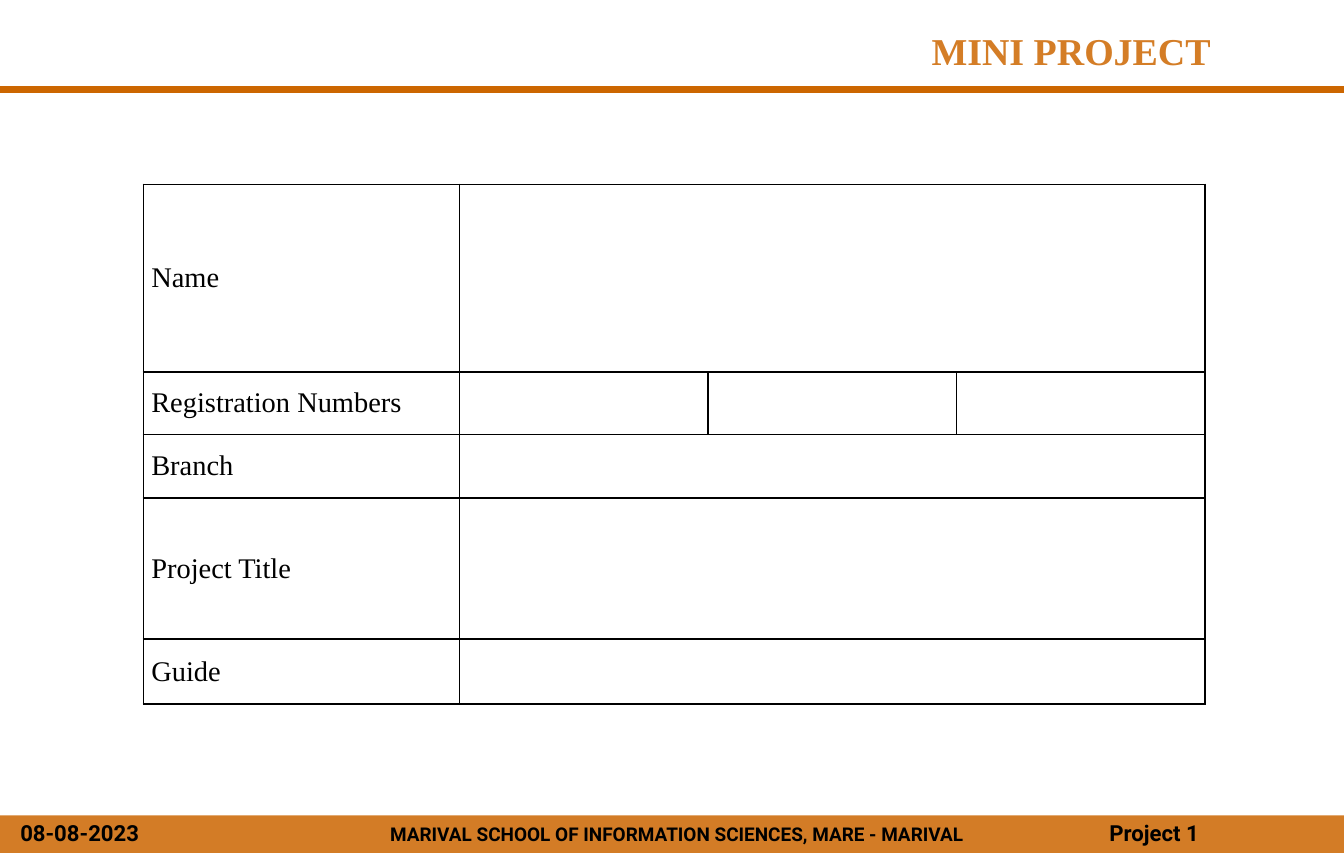
from lxml import etree
from pptx import Presentation
from pptx.dml.color import RGBColor
from pptx.enum import shapes, text
from pptx.oxml import ns
from pptx.util import Cm, Inches, Pt

WIDTH, HEIGHT = Cm(30), Inches(7.5)
ORANGE, BLACK = "CC6600", "000000"
SERIF, SANS = "Times New Roman", "Roboto"
LEFT, CENTER, RIGHT = text.PP_ALIGN.LEFT, text.PP_ALIGN.CENTER, text.PP_ALIGN.RIGHT

TITLE = "MINI PROJECT"
TITLE_BOX = (2.74, 0.19, 8, 0.51)
FOOTERS = [
    ("MARIVAL SCHOOL OF INFORMATION SCIENCES, MARE - MARIVAL", (2.85, 7.18, 6.2, 0.31), 12, CENTER),
    ("08-08-2023", (0.08, 7.16, 1.33, 0.34), 14, LEFT),
    ("Project 1", (9.65, 7.16, 2.15, 0.34), 14, LEFT),
]
ROWS = [
    ("Name", 1.65, True),
    ("Registration Numbers", 0.55, False),
    ("Branch", 0.56, True),
    ("Project Title", 1.24, True),
    ("Guide", 0.57, True),
]
TABLE_LEFT, TABLE_TOP, TABLE_WIDTH = 1.26, 1.62, 9.33
LABEL_WIDTH, VALUE_COLUMNS = 2.78, 3


def rgb(value):
    return RGBColor.from_string(value)


def inches(box):
    return [Inches(v) for v in box]


def write(tf, words, size, font, color, bold=False, align=LEFT):
    tf.text = words
    p = tf.paragraphs[0]
    p.alignment = align
    f = p.runs[0].font
    f.size, f.name, f.bold = Pt(size), font, bold
    f.color.rgb = rgb(color)
    return p


def add_borders(cell):
    tc_pr = cell._tc.get_or_add_tcPr()
    for side in ("a:lnL", "a:lnR", "a:lnT", "a:lnB"):
        ln = etree.SubElement(tc_pr, ns.qn(side), w=str(Pt(1)))
        fill = etree.SubElement(ln, ns.qn("a:solidFill"))
        etree.SubElement(fill, ns.qn("a:srgbClr"), val=BLACK)


def add_frame(s):
    rule_y = Inches(0.79)
    rule = s.shapes.add_connector(
        shapes.MSO_CONNECTOR.STRAIGHT, 0, rule_y, Inches(11.84), rule_y)
    rule.line.color.rgb = rgb(ORANGE)
    rule.line.width = Pt(4.5)
    etree.SubElement(rule._element.spPr, ns.qn("a:effectLst"))

    bar_height = Inches(0.33)
    bar = s.shapes.add_shape(
        shapes.MSO_SHAPE.RECTANGLE, 0, HEIGHT - bar_height, WIDTH, bar_height)
    bar.shadow.inherit = False
    bar.fill.solid()
    bar.fill.fore_color.rgb = rgb(ORANGE)
    color = bar._element.spPr.find(".//" + ns.qn("a:srgbClr"))
    etree.SubElement(color, ns.qn("a:alpha"), val="85000")
    bar.line.fill.background()

    for words, box, size, align in FOOTERS:
        tf = s.shapes.add_textbox(*inches(box)).text_frame
        tf.word_wrap = True
        write(tf, words, size, SANS, BLACK, True, align)


def add_title(s):
    sp = s.shapes.title
    sp.left, sp.top, sp.width, sp.height = inches(TITLE_BOX)
    tf = sp.text_frame
    tf.auto_size = text.MSO_AUTO_SIZE.NONE
    tf.vertical_anchor = text.MSO_ANCHOR.TOP
    write(tf, TITLE, 24, SERIF, "D47D26", True, RIGHT)


def add_details(s):
    value_width = (TABLE_WIDTH - LABEL_WIDTH) / VALUE_COLUMNS
    widths = [LABEL_WIDTH] + [value_width] * VALUE_COLUMNS
    box = (TABLE_LEFT, TABLE_TOP, TABLE_WIDTH, sum(height for _, height, _ in ROWS))
    table = s.shapes.add_table(len(ROWS), len(widths), *inches(box)).table
    table.first_row = table.horz_banding = False
    for column, width in zip(table.columns, widths):
        column.width = Inches(width)
    for i, (label, height, merged) in enumerate(ROWS):
        table.rows[i].height = Inches(height)
        for cell in table.rows[i].cells:
            add_borders(cell)
            cell.fill.background()
        if merged:
            table.cell(i, 1).merge(table.cell(i, VALUE_COLUMNS))
        cell = table.cell(i, 0)
        cell.vertical_anchor = text.MSO_ANCHOR.MIDDLE
        cell.margin_left = cell.margin_right = Inches(0.07)
        cell.margin_top = cell.margin_bottom = 0
        p = write(cell.text_frame, label, 18, SERIF, BLACK)
        p.space_before = p.space_after = Pt(3.1)


def main():
    prs = Presentation()
    prs.slide_width, prs.slide_height = WIDTH, HEIGHT
    s = prs.slides.add_slide(prs.slide_layouts[5])
    add_frame(s)
    add_title(s)
    add_details(s)
    prs.save("out.pptx")


if __name__ == "__main__":
    main()
